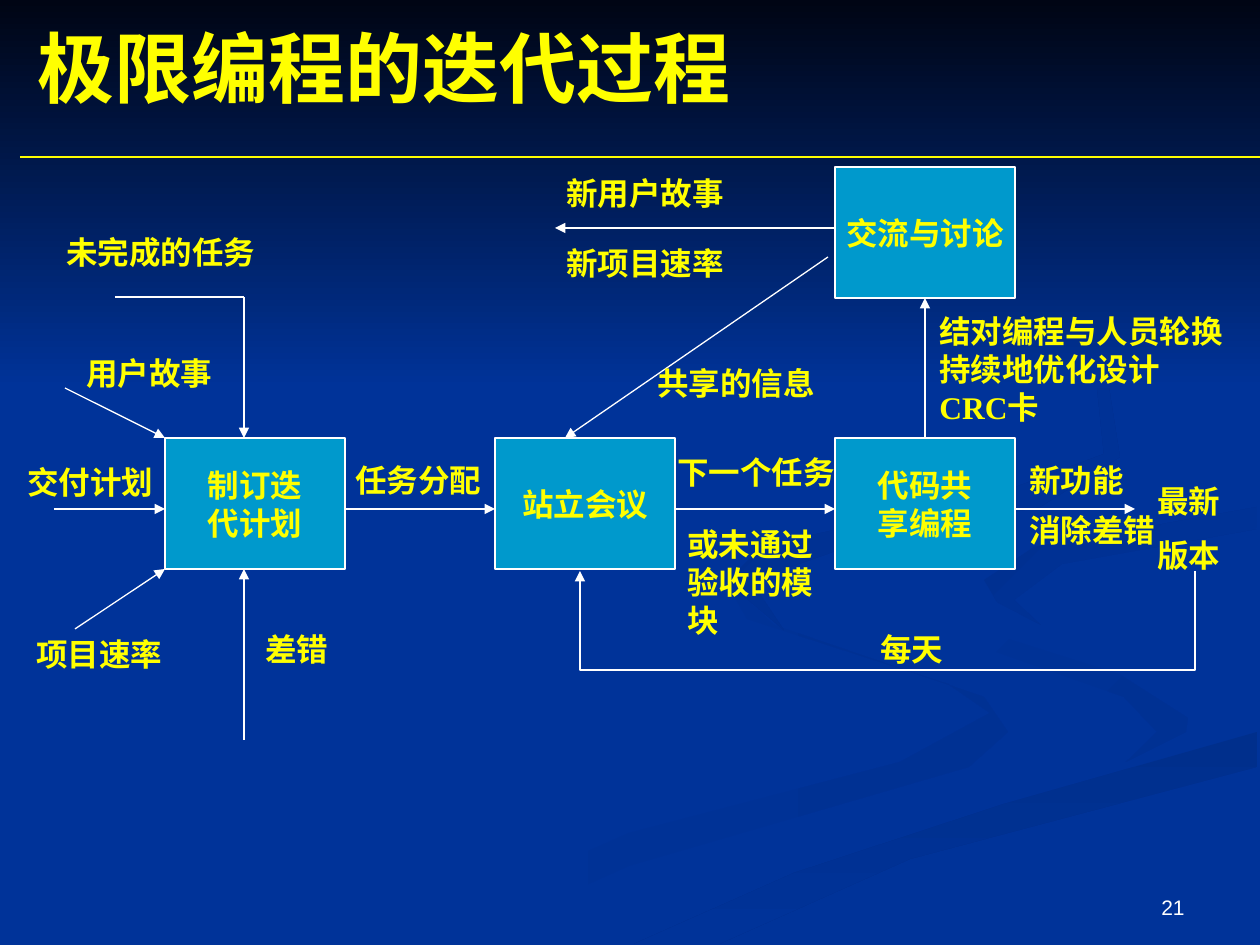
from math import ceil

from lxml import etree
from pptx import Presentation
from pptx.dml.color import RGBColor
from pptx.enum.shapes import MSO_CONNECTOR, MSO_SHAPE
from pptx.enum.text import MSO_ANCHOR, PP_ALIGN
from pptx.oxml.ns import qn
from pptx.util import Pt

RECTANGLE = MSO_SHAPE.RECTANGLE
STRAIGHT = MSO_CONNECTOR.STRAIGHT
MIDDLE, BOTTOM = MSO_ANCHOR.MIDDLE, MSO_ANCHOR.BOTTOM
LEFT, CENTER, RIGHT = PP_ALIGN.LEFT, PP_ALIGN.CENTER, PP_ALIGN.RIGHT
SCALE = 914400 / 126
NAVY, TEAL, YELLOW, WHITE = "003399", "0099CC", "FFFF00", "FFFFFF"
HAIRLINE = Pt(0.75)
color = RGBColor.from_string


def px(*lengths):
    return [round(length * SCALE) for length in lengths]


def write(frame, text, size=18, font="Times New Roman", ink=YELLOW, bold=True, align=LEFT, gap=0):
    """Fill a text frame, one paragraph per line, with gap points between them."""
    frame.text = text
    for number, paragraph in enumerate(frame.paragraphs):
        paragraph.alignment = align
        paragraph.space_before = Pt(gap if number else 0)
        paragraph.font.size = Pt(size)
        paragraph.font.name = font
        paragraph.font.bold = bold
        paragraph.font.color.rgb = color(ink)


prs = Presentation()
prs.slide_width, prs.slide_height = px(1260, 945)
slide = prs.slides.add_slide(prs.slide_layouts[5])
shapes = slide.shapes
slide.background.fill.solid()
slide.background.fill.fore_color.rgb = color(NAVY)

# Backdrop: start colour, end colour, clockwise angle, outline
backdrop = [
    (NAVY, "003193", 0, [
        (984, 697), (774, 625), (724, 578), (747, 619), (948, 684), (990, 713),
        (900, 762), (629, 833), (378, 944), (455, 944), (629, 866), (969, 767), (1008, 732)]),
    (NAVY, "003193", 45, [
        (1188, 718), (1119, 674), (939, 617), (912, 585), (951, 636), (1124, 697),
        (1157, 732), (1126, 762), (1186, 732)]),
    ("002F8C", NAVY, 90, [
        (634, 944), (719, 944), (910, 859), (1257, 767), (1257, 732), (1004, 804), (794, 873)]),
    ("003091", NAVY, 45, [
        (984, 580), (997, 602), (1041, 625), (1014, 600), (1062, 564), (1257, 529),
        (1257, 507), (1034, 547)]),
    ("002F8E", NAVY, 45, [
        (861, 542), (1040, 507), (1120, 457), (1109, 387), (960, 294), (1096, 377),
        (1104, 454), (997, 494), (762, 546), (727, 582), (784, 630), (751, 581)]),
    ("000514", NAVY, 90, [(0, 0), (0, 388), (1260, 388), (1260, 0)]),
]
for start, end, angle, outline in backdrop:
    builder = shapes.build_freeform(*outline[0], scale=SCALE)
    builder.add_line_segments(outline[1:])
    ribbon = builder.convert_to_shape()
    ribbon.shadow.inherit = False
    ribbon.line.fill.background()
    ribbon.fill.gradient()
    ribbon.fill.gradient_angle = (360 - angle) % 360
    for stop, position, shade in zip(ribbon.fill.gradient_stops, (0, 1), (start, end)):
        stop.position = position
        stop.color.rgb = color(shade)

# The title goes in front of the backdrop
title = shapes.title
shapes.element.append(title.element)
title.left, title.top, title.width, title.height = px(25, 18, 1201, 97)
title.text_frame.vertical_anchor = MIDDLE
write(title.text_frame, "极限编程的迭代过程", size=44)

page_number = shapes.add_textbox(*px(903, 861, 294, 65)).text_frame
page_number.word_wrap = True
page_number.vertical_anchor = BOTTOM
write(page_number, "21", size=12, font="Arial", ink=WHITE, bold=False, align=RIGHT)

# Process steps
step_boxes = []
for left, top, step in [
    (165, 438, "制订迭\n代计划"),
    (495, 438, "站立会议"),
    (835, 438, "代码共\n享编程"),
    (835, 167, "交流与讨论"),
]:
    box = shapes.add_shape(RECTANGLE, *px(left, top, 180, 131))
    box.shadow.inherit = False
    box.fill.solid()
    box.fill.fore_color.rgb = color(TEAL)
    box.line.color.rgb = color(WHITE)
    box.line.width = HAIRLINE
    box.text_frame.word_wrap = False
    box.text_frame.vertical_anchor = MIDDLE
    write(box.text_frame, step, align=CENTER)
    step_boxes.append(box)
planning, meeting, coding, discussion = step_boxes

# Straight lines: the title rule and a corner piece are plain, the rest have heads
plain_lines = [(20, 157, 1260, 157), (115, 297, 244, 297)]
main_row = [(x1, 509, x2, 509) for x1, x2 in [(54, 165), (345, 495), (675, 835), (1015, 1135)]]
arrows = main_row + [
    (244, 740, 244, 569),
    (65, 388, 165, 438),
    (75, 629, 165, 569),
    (244, 297, 244, 438),
    (828, 257, 565, 438),
    (835, 228, 555, 228),
    (925, 438, 925, 298),
]
flows = []
for ends in plain_lines + arrows:
    flow = shapes.add_connector(STRAIGHT, *px(*ends))
    flow.line.color.rgb = color(WHITE)
    flow.line.width = HAIRLINE
    etree.SubElement(flow.element.spPr, qn("a:effectLst"))
    flows.append(flow)
flows[0].line.color.rgb = color(YELLOW)
flows[-1].begin_connect(coding, 0)
flows[-1].end_connect(discussion, 2)

builder = shapes.build_freeform(1195, 571, scale=SCALE)
builder.add_line_segments([(1195, 670), (580, 670), (580, 571)], close=False)
daily_loop = builder.convert_to_shape()
daily_loop.shadow.inherit = False
daily_loop.fill.background()
daily_loop.line.color.rgb = color(WHITE)
daily_loop.line.width = HAIRLINE

for flow in flows[len(plain_lines):] + [daily_loop]:
    stroke = flow.element.spPr.find(qn("a:ln"))
    etree.SubElement(stroke, qn("a:tailEnd"), type="triangle")

# Flow labels, as tall as their wrapped lines need
for left, top, width, label in [
    (54, 227, 270, "未完成的任务"),
    (74, 348, 270, "用户故事"),
    (15, 457, 170, "交付计划"),
    (24, 629, 270, "项目速率"),
    (343, 455, 166, "任务分配"),
    (665, 447, 210, "下一个任务"),
    (675, 519, 160, "或未通过验收的模块"),
    (253, 624, 96, "差错"),
    (645, 358, 270, "共享的信息"),
    (554, 168, 270, "新用户故事"),
    (554, 238, 270, "新项目速率"),
    (1017, 455, 131, "新功能"),
    (1145, 476, 101, "最新\n版本"),
    (927, 306, 312, "结对编程与人员轮换\n持续地优化设计\nCRC卡"),
    (1017, 505, 159, "消除差错"),
    (868, 624, 96, "每天"),
]:
    rows = sum(ceil(len(line) * 31.5 / (width - 25)) for line in label.split("\n"))
    caption = shapes.add_textbox(*px(left, top, width, 12 + 38 * rows)).text_frame
    caption.word_wrap = True
    write(caption, label, gap=9 if rows == 2 else 0)

prs.save("out.pptx")
